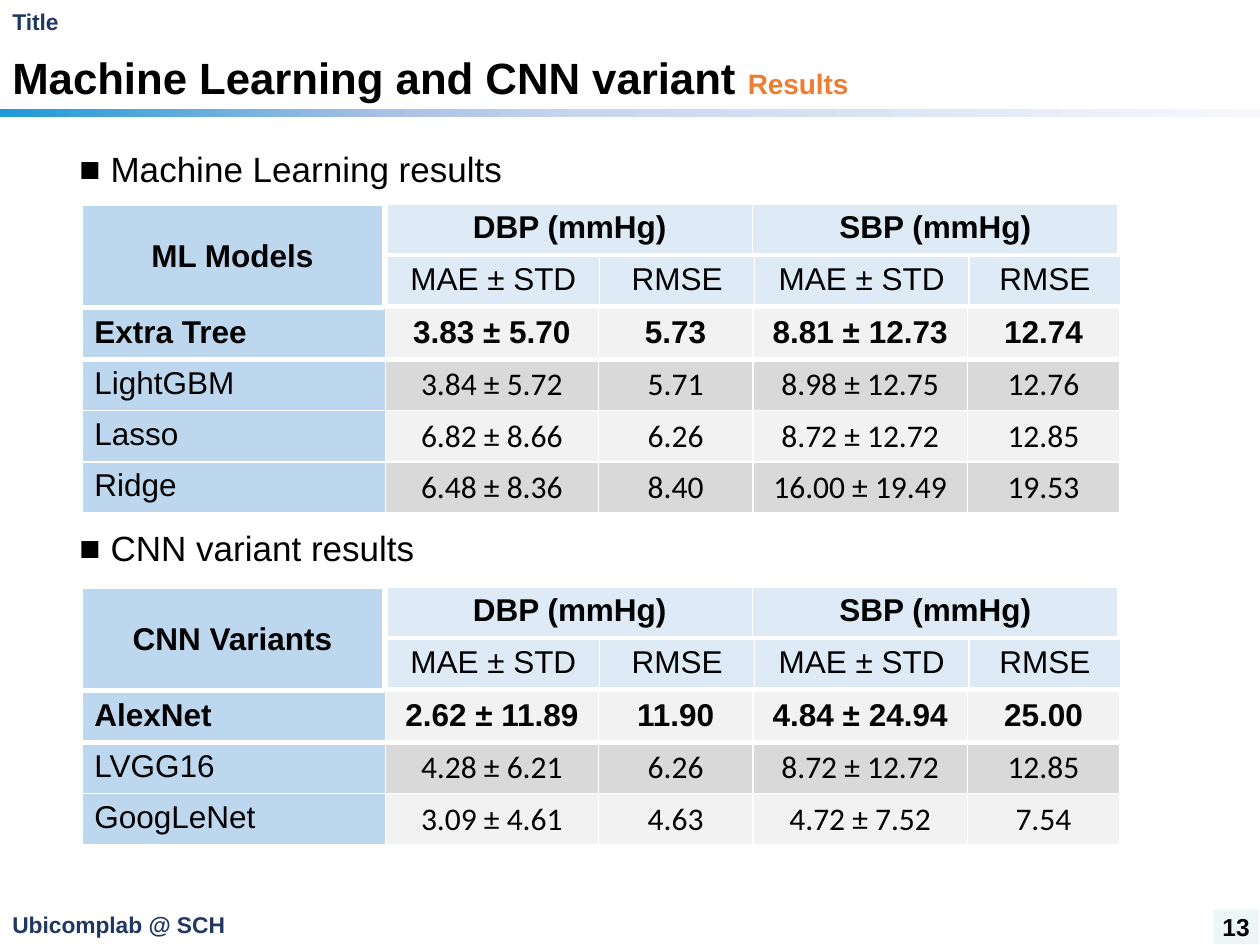
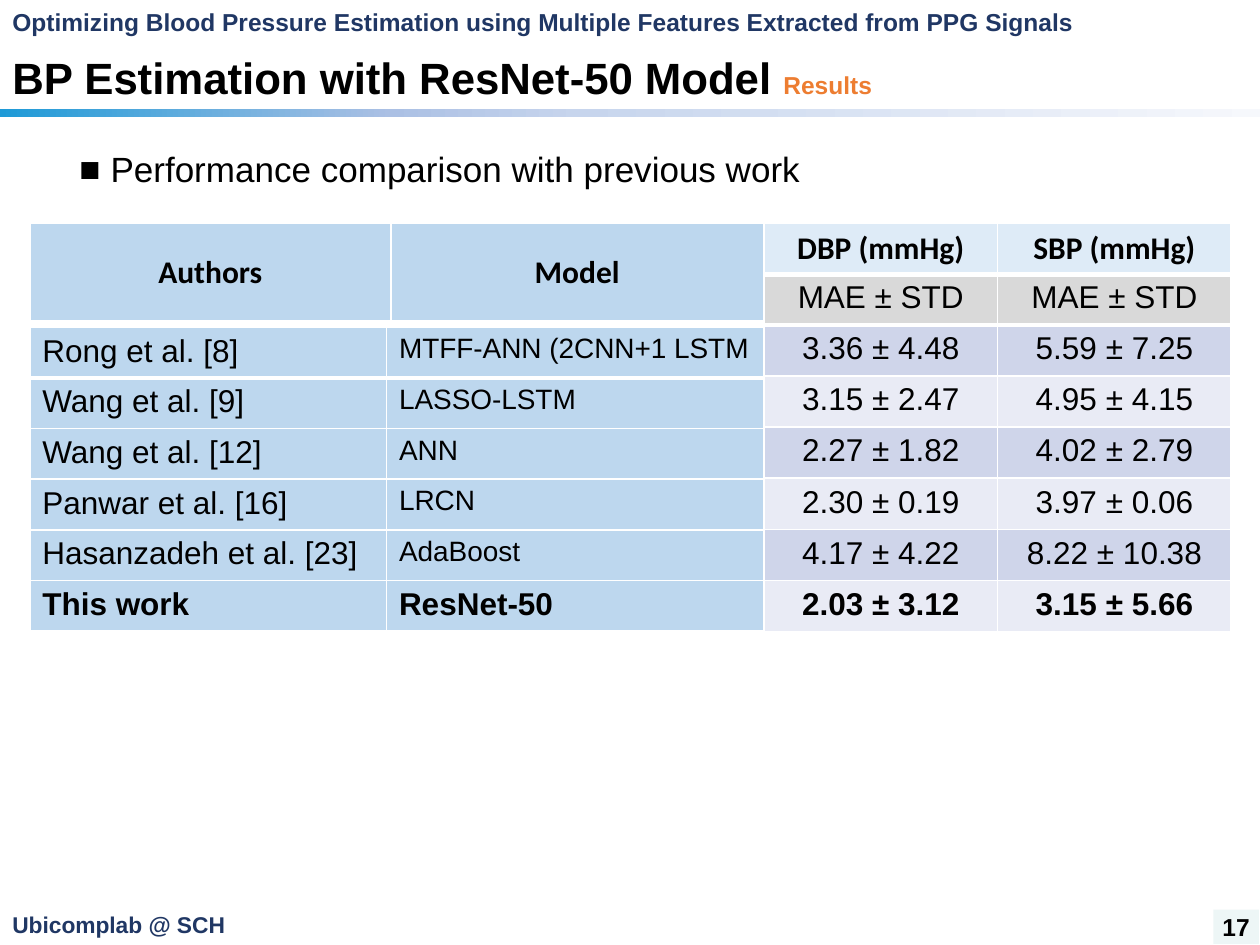
from pptx import Presentation
from pptx.dml.color import RGBColor as Rgb
from pptx.enum.shapes import MSO_SHAPE as Shape
from pptx.enum.text import MSO_ANCHOR as Anchor, PP_ALIGN as Align
from pptx.oxml import parse_xml
from pptx.oxml.ns import nsdecls
from pptx.util import Cm, Pt

COLORS = {
    "black": "000000", "white": "FFFFFF", "navy": "203764", "orange": "ED7D31",
    "number": "EDF6F6", "label": "BDD7EE", "header": "DEEBF7",
    "light": "F2F2F2", "gray": "D9D9D9", "lilac": "CFD5EA", "pale": "E9EBF5",
}
BAND_STOPS = [(0, "1E9AD7"), (31, "ABC0E4"), (46, "C7D5ED"), (100, "F6F8FC")]
LEFT, CENTER = Align.LEFT, Align.CENTER
ROW = 1.03


def add_span(para, text, size, color="black", bold=False, font="Arial"):
    span = para.add_run()
    span.text = text
    span.font.size, span.font.bold, span.font.name = Pt(size), bold, font
    span.font.color.rgb = Rgb.from_string(COLORS[color])


def add_grid(page, left, top, widths, height, rows):
    """Each cell is (text, fill, align, bold, font, size); the first row has a thick rule."""
    table = page.shapes.add_table(len(rows), len(widths), Cm(left), Cm(top),
                                  Cm(sum(widths)), Cm(height * len(rows))).table
    table.first_row = table.horz_banding = False
    for column, width in zip(table.columns, widths):
        column.width = Cm(width)
    for r, row in enumerate(rows):
        table.rows[r].height = Cm(height)
        for c, (text, fill, align, bold, font, size) in enumerate(row):
            cell = table.cell(r, c)
            cell.vertical_anchor = Anchor.MIDDLE if height > ROW else Anchor.TOP
            cell.fill.solid()
            cell.fill.fore_color.rgb = Rgb.from_string(COLORS[fill])
            para = cell.text_frame.paragraphs[0]
            para.alignment = align
            add_span(para, text, size, bold=bold, font=font)
            for i, side in enumerate("LRTB"):
                points = 3 if side == "B" and r == 0 else 1
                cell._tc.get_or_add_tcPr().insert(i, parse_xml(
                    f'<a:ln{side} {nsdecls("a")} w="{Pt(points)}"><a:solidFill>'
                    f'<a:srgbClr val="{COLORS["white"]}"/></a:solidFill></a:ln{side}>'))


deck = Presentation()
deck.slide_width, deck.slide_height = Cm(25.4), Cm(19.05)

# Frame shared by both slides: running head, title, band, number, footer, headings
SLIDES = [
    ("Title", 13, "Machine Learning and CNN variant ", 16, "13",
     [("Machine Learning results", 2.95), ("CNN variant results", 10.59)]),
    ("Optimizing Blood Pressure Estimation using Multiple Features Extracted from PPG Signals",
     14, "BP Estimation with ResNet-50 Model ", 14, "17",
     [("Performance comparison with previous work", 2.95)]),
]
for head, head_size, title, tag_size, number, headings in SLIDES:
    page = deck.slides.add_slide(deck.slide_layouts[6])

    band = page.shapes.add_shape(Shape.RECTANGLE, 0, Cm(2.2), Cm(25.4), Cm(0.16))
    band.shadow.inherit = False
    band.line.fill.background()
    band.fill.gradient()
    band.fill.gradient_angle = 0
    stops = band._element.spPr.find(".//{*}gsLst")
    for stop in list(stops):
        stops.remove(stop)
    for position, color in BAND_STOPS:
        stops.append(parse_xml(f'<a:gs {nsdecls("a")} pos="{position * 1000}">'
                               f'<a:srgbClr val="{color}"/></a:gs>'))

    lines = [
        (0.02, 0.83, [(head, head_size, "navy")]),
        (0.89, 1.47, [(title, 25, "black"), ("Results", tag_size, "orange")]),
        (18.23, 0.82, [("Ubicomplab @ SCH", 13, "navy")]),
    ]
    for top, height, spans in lines:
        box = page.shapes.add_textbox(0, Cm(top), Cm(25.4), Cm(height))
        box.text_frame.word_wrap = True
        box.text_frame.vertical_anchor = Anchor.MIDDLE
        para = box.text_frame.paragraphs[0]
        para.line_spacing = 0.9 if len(spans) > 1 else 1.0
        for text, size, color in spans:
            add_span(para, text, size, color, bold=True)

    badge = page.shapes.add_shape(Shape.RECTANGLE, Cm(24.46), Cm(18.34), Cm(0.92), Cm(0.69))
    badge.shadow.inherit = False
    badge.line.fill.background()
    badge.fill.solid()
    badge.fill.fore_color.rgb = Rgb.from_string(COLORS["number"])
    frame = badge.text_frame
    frame.word_wrap = False
    frame.margin_left = frame.margin_right = 0
    frame.vertical_anchor = Anchor.MIDDLE
    frame.paragraphs[0].alignment = CENTER
    add_span(frame.paragraphs[0], number, 14, bold=True)

    for heading, top in headings:
        box = page.shapes.add_textbox(Cm(1.35), Cm(top), Cm(22.68), Cm(1))
        box.text_frame.word_wrap = True
        para = box.text_frame.paragraphs[0]
        para.line_spacing = 0.9
        para.space_before = Pt(10)
        props = para._p.get_or_add_pPr()
        props.set("marL", str(Cm(0.63)))
        props.set("indent", str(Cm(-0.63)))
        props.append(parse_xml(f'<a:buFont {nsdecls("a")} typeface="Arial"/>'))
        props.append(parse_xml(f'<a:buChar {nsdecls("a")} char="■"/>'))
        add_span(para, heading, 20)

results_page, comparison_page = deck.slides

# Model results: the best model comes first, in bold
WIDTHS = [6.12, 4.29, 3.12, 4.32, 3.07]
RESULTS = [
    ("ML Models", 4.11, [
        ["Extra Tree", "3.83 ± 5.70", "5.73", "8.81 ± 12.73", "12.74"],
        ["LightGBM", "3.84 ± 5.72", "5.71", "8.98 ± 12.75", "12.76"],
        ["Lasso", "6.82 ± 8.66", "6.26", "8.72 ± 12.72", "12.85"],
        ["Ridge", "6.48 ± 8.36", "8.40", "16.00 ± 19.49", "19.53"],
    ]),
    ("CNN Variants", 11.83, [
        ["AlexNet", "2.62 ± 11.89", "11.90", "4.84 ± 24.94", "25.00"],
        ["LVGG16", "4.28 ± 6.21", "6.26", "8.72 ± 12.72", "12.85"],
        ["GoogLeNet", "3.09 ± 4.61", "4.63", "4.72 ± 7.52", "7.54"],
    ]),
]
PRESSURES = ["DBP (mmHg)", "SBP (mmHg)"]
for corner, top, models in RESULTS:
    rows = []
    for r, (model, *values) in enumerate(models):
        best = r == 0
        font = "Arial" if best else "Calibri"
        fill = "gray" if r % 2 else "light"
        rows.append([(model, "label", LEFT, best, "Arial", 18)]
                    + [(value, fill, CENTER, best, font, 18) for value in values])
    add_grid(results_page, 1.65, top + 2.11, WIDTHS, ROW, rows)
    add_grid(results_page, 7.8, top + 1.04, WIDTHS[1:], ROW,
             [[(text, "header", CENTER, False, "Arial", 18)
               for text in ["MAE ± STD", "RMSE"] * 2]])
    add_grid(results_page, 7.8, top, [7.37, 7.37], ROW,
             [[(text, "header", CENTER, True, "Arial", 18) for text in PRESSURES]])
    add_grid(results_page, 1.65, top + 0.03, [6.07], 2.06,
             [[(corner, "label", CENTER, True, "Arial", 18)]])

# Comparison with previous work: the last row is bold
WORKS = [
    ("Rong et al. [8]", "MTFF-ANN (2CNN+1 LSTM", "3.36 ± 4.48", "5.59 ± 7.25"),
    ("Wang et al. [9]", "LASSO-LSTM", "3.15 ± 2.47", "4.95 ± 4.15"),
    ("Wang et al. [12]", "ANN", "2.27 ± 1.82", "4.02 ± 2.79"),
    ("Panwar et al. [16]", "LRCN", "2.30 ± 0.19", "3.97 ± 0.06"),
    ("Hasanzadeh et al. [23]", "AdaBoost", "4.17 ± 4.22", "8.22 ± 10.38"),
    ("This work", "ResNet-50", "2.03 ± 3.12", "3.15 ± 5.66"),
]
work_rows = []
error_rows = [[("MAE ± STD", "gray", CENTER, False, "Arial", 18)] * 2]
for r, (authors, model, *errors) in enumerate(WORKS):
    ours = authors == "This work"
    work_rows.append([(authors, "label", LEFT, ours, "Arial", 18),
                      (model, "label", LEFT, ours, "Arial", 18 if ours else 16)])
    error_rows.append([(error, "pale" if r % 2 else "lilac", CENTER, ours, "Arial", 18)
                       for error in errors])
add_grid(comparison_page, 15.4, 5.52, [4.71, 4.71], ROW, error_rows)
add_grid(comparison_page, 15.4, 4.5, [4.71, 4.71], ROW,
         [[(text, "header", CENTER, True, "Calibri", 18) for text in PRESSURES]])
add_grid(comparison_page, 0.6, 4.5, [7.28, 7.51], 2,
         [[(text, "label", CENTER, True, "Calibri", 18) for text in ["Authors", "Model"]]])
add_grid(comparison_page, 0.6, 6.6, [7.19, 7.6], 1.02, work_rows)

deck.save("out.pptx")
